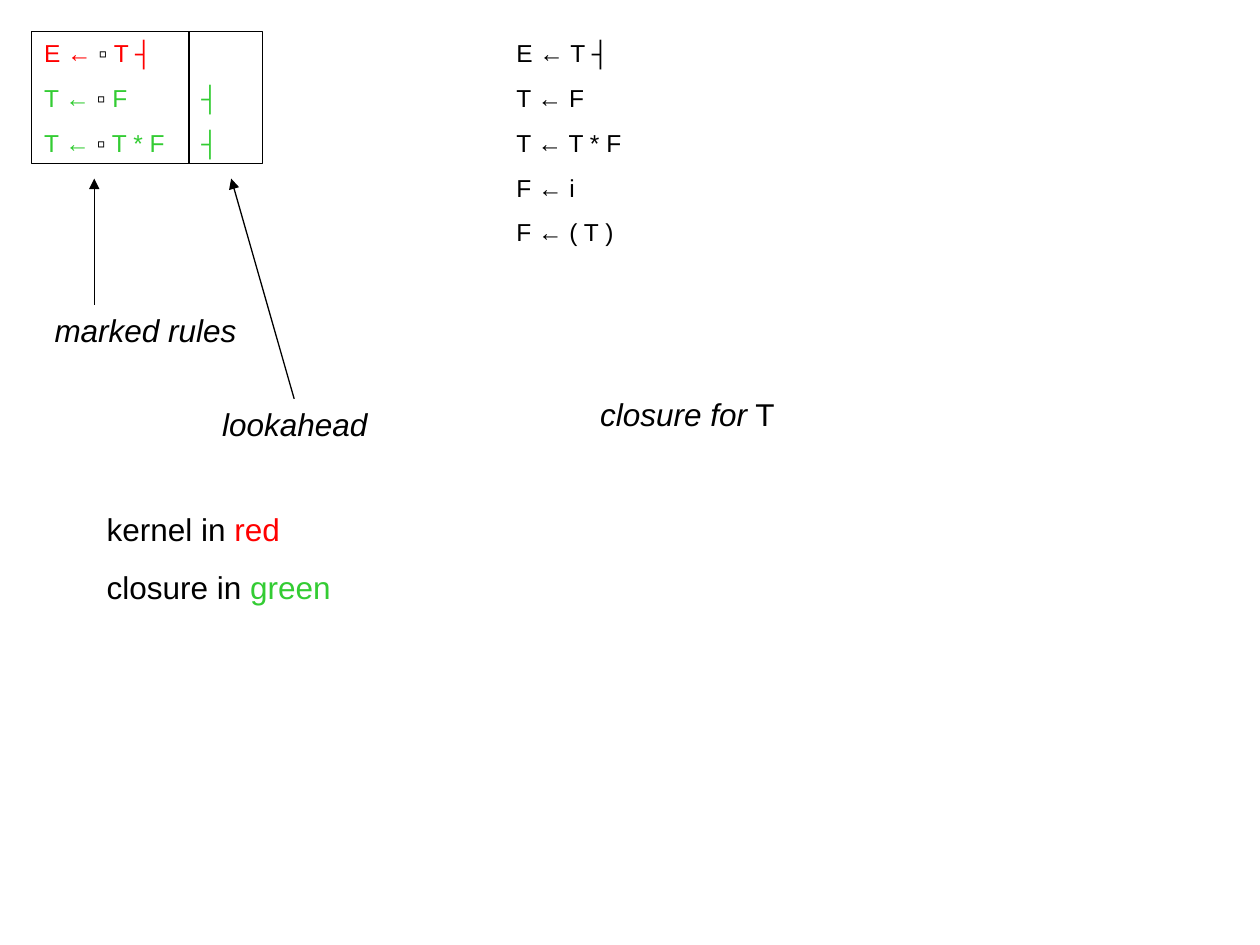
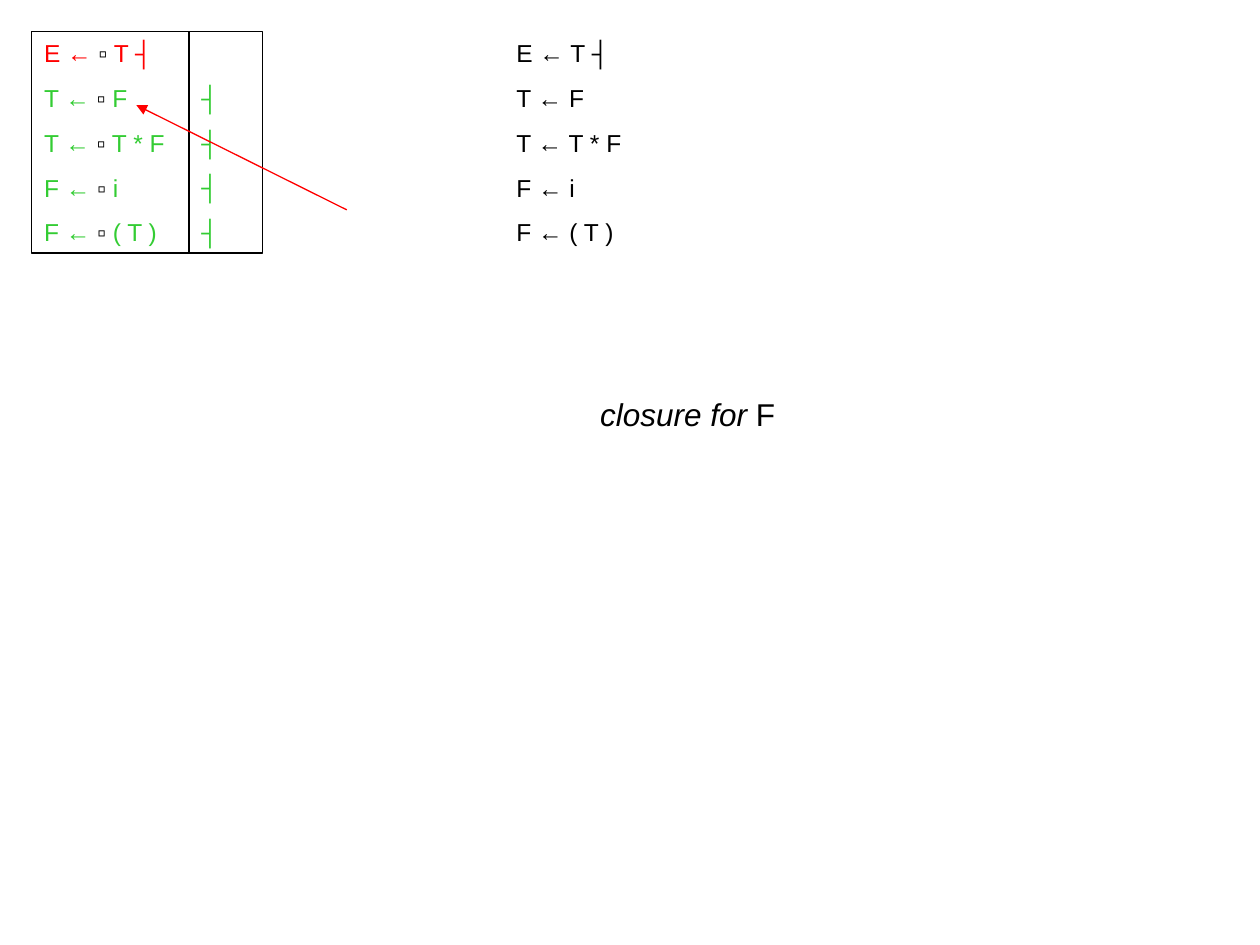
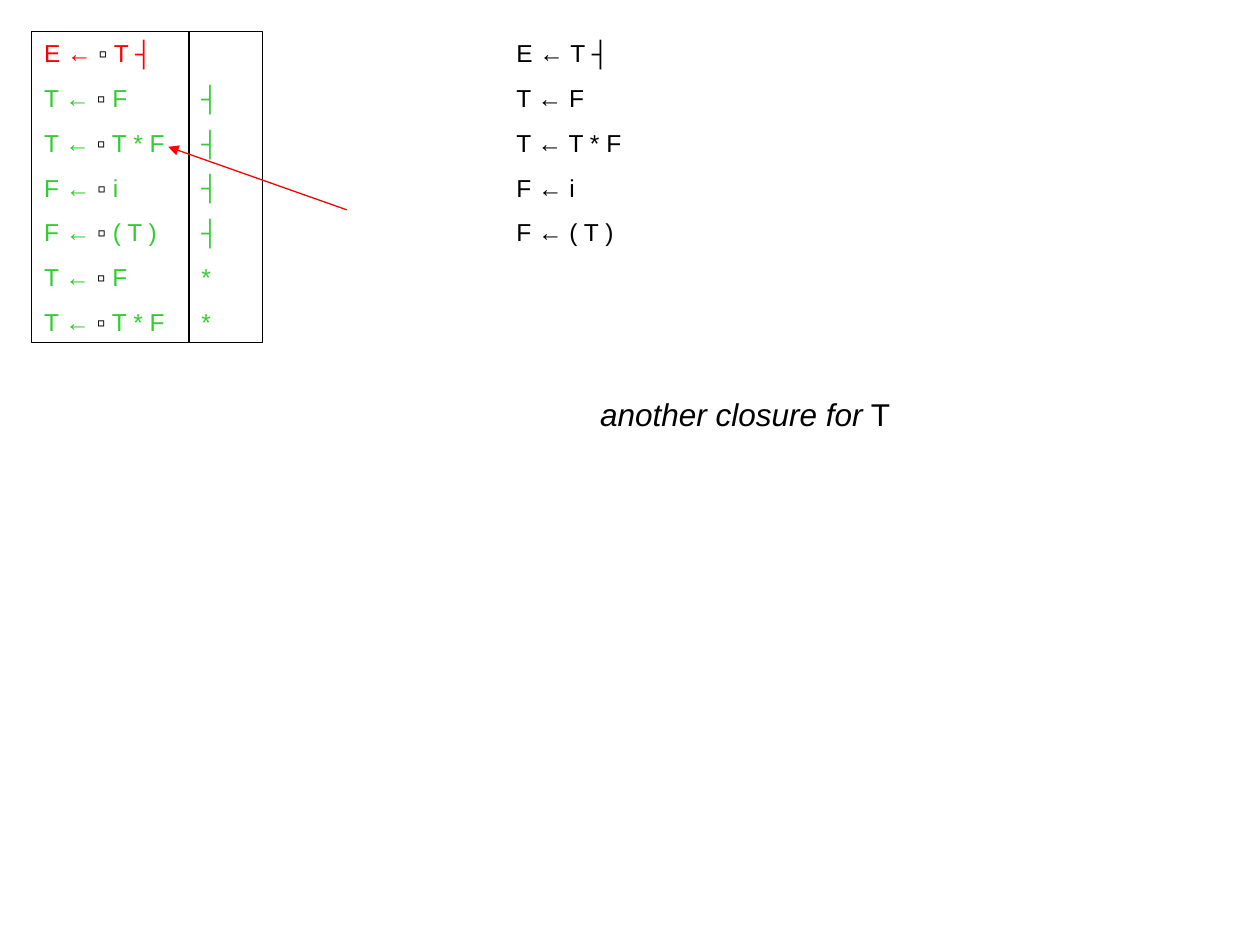
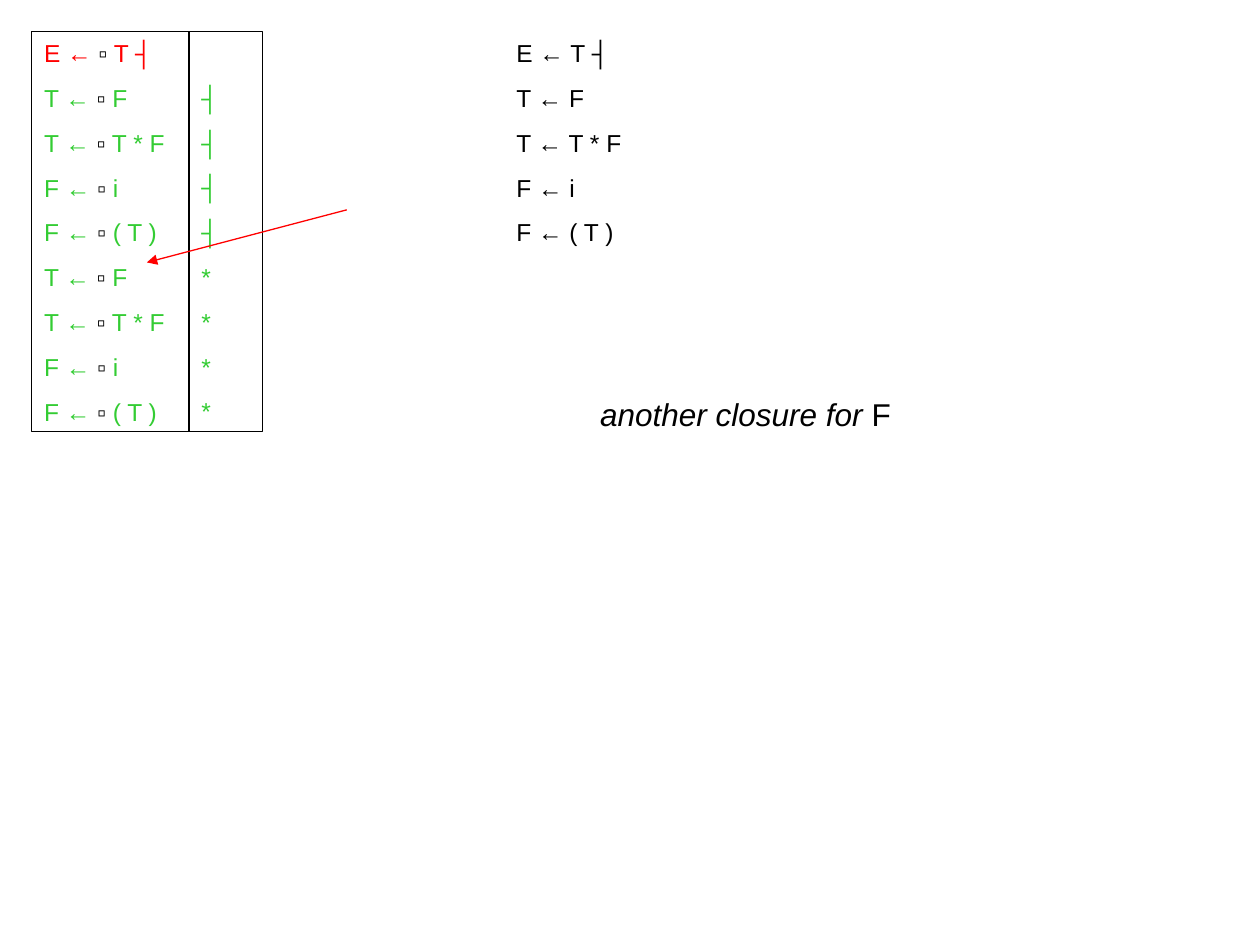
from lxml.etree import SubElement
from pptx import Presentation
from pptx.dml.color import RGBColor
from pptx.enum.shapes import MSO_CONNECTOR, MSO_SHAPE
from pptx.enum.text import MSO_ANCHOR, PP_ALIGN
from pptx.oxml.ns import qn
from pptx.util import Cm, Pt

BLACK, RED, GREEN = "000000", "FF0000", "33CC33"
FONT = "Arial"
RULE_SIZE, NOTE_SIZE = 14, 18

GRAMMAR = [("E", "T ┤"), ("T", "F"), ("T", "T * F"), ("F", "i"), ("F", "( T )")]
ITEMS = GRAMMAR + GRAMMAR[1:]
LOOKAHEADS = ["┤"] * 4 + ["*"] * 4

STEPS = [
    {"rows": 3, "caption": "closure for", "symbol": "T",
     "arrows": [(1.9, 6.14, 1.9, 3.6, BLACK), (5.93, 8.04, 4.66, 3.6, BLACK)],
     "notes": [
         (0.85, 6.14, 4.65, 1.02, [[("marked rules", BLACK, True)]]),
         (4.23, 8.04, 3.81, 1.02, [[("lookahead", BLACK, True)]]),
         (1.9, 10.16, 7.41, 2.18, [
             [("kernel in ", BLACK, False), ("red", RED, False)],
             [("closure in ", BLACK, False), ("green", GREEN, False)],
         ]),
     ]},
    {"rows": 5, "caption": "closure for", "symbol": "F",
     "arrows": [(6.99, 4.23, 2.75, 2.12, RED)], "notes": []},
    {"rows": 7, "caption": "another closure for", "symbol": "T",
     "arrows": [(6.99, 4.23, 3.39, 2.96, RED)], "notes": []},
    {"rows": 9, "caption": "another closure for", "symbol": "F",
     "arrows": [(6.99, 4.23, 2.96, 5.29, RED)], "notes": []},
]

TOP, LEFT = 0.64, 0.64
ITEM_WIDTH, LOOKAHEAD_WIDTH = 3.17, 1.48
FIRST_ROW, ROW_PITCH = 0.86, 0.9
INSET_X, INSET_Y = 0.25, 0.13


def color(value):
    return RGBColor.from_string(value)


def rows_height(count):
    return FIRST_ROW + (count - 1) * ROW_PITCH


def write(shape, lines, size, inset_top=INSET_Y):
    frame = shape.text_frame
    frame.word_wrap = True
    frame.vertical_anchor = MSO_ANCHOR.TOP
    frame.margin_left = frame.margin_right = Cm(INSET_X)
    frame.margin_top, frame.margin_bottom = Cm(inset_top), Cm(INSET_Y)
    for index, line in enumerate(lines):
        para = frame.add_paragraph() if index else frame.paragraphs[0]
        para.alignment = PP_ALIGN.LEFT
        para.space_before = Pt(round(size * 0.625, 1) if index else 0)
        for text, tint, italic in line:
            span = para.add_run()
            span.text = text
            span.font.name = FONT
            span.font.size = Pt(size)
            span.font.italic = italic
            span.font.color.rgb = color(tint)


def add_text(page, left, top, width, height, lines, size=NOTE_SIZE):
    box = page.shapes.add_textbox(Cm(left), Cm(top), Cm(width), Cm(height))
    write(box, lines, size)


def add_column(page, left, width, height, lines, inset_top=INSET_Y):
    box = page.shapes.add_shape(
        MSO_SHAPE.RECTANGLE, Cm(left), Cm(TOP), Cm(width), Cm(height))
    box.shadow.inherit = False
    box.fill.background()
    box.line.color.rgb = color(BLACK)
    box.line.width = Pt(0.75)
    write(box, lines, RULE_SIZE, inset_top)


def add_arrow(page, x1, y1, x2, y2, tint):
    arrow = page.shapes.add_connector(
        MSO_CONNECTOR.STRAIGHT, Cm(x1), Cm(y1), Cm(x2), Cm(y2))
    arrow.line.color.rgb = color(tint)
    arrow.line.width = Pt(0.75)
    SubElement(arrow.line._get_or_add_ln(), qn("a:tailEnd"), type="triangle")
    SubElement(arrow._element.spPr, qn("a:effectLst"))


def marked_rule(row):
    head, body = ITEMS[row]
    tint = GREEN if row else RED
    return [(f"{head} ← ", tint, False), ("▫", BLACK, False), (f" {body}", tint, False)]


def add_step(deck, step):
    page = deck.slides.add_slide(deck.slide_layouts[6])
    rows = step["rows"]
    height = rows_height(rows)
    grammar = [[(f"{head} ← {body}", BLACK, False)] for head, body in GRAMMAR]
    add_text(page, 10.16, TOP, 3.6, rows_height(len(GRAMMAR)), grammar, RULE_SIZE)
    add_column(page, LEFT, ITEM_WIDTH, height, [marked_rule(row) for row in range(rows)])
    lookaheads = [[(symbol, GREEN, False)] for symbol in LOOKAHEADS[:rows - 1]]
    add_column(page, LEFT + ITEM_WIDTH, LOOKAHEAD_WIDTH, height, lookaheads,
               INSET_Y + ROW_PITCH)
    caption = [(step["caption"], BLACK, True), (f" {step['symbol']}", BLACK, False)]
    add_text(page, 11.85, 7.83, 6.56, 1.02, [caption])
    for note in step["notes"]:
        add_text(page, *note)
    for arrow in step["arrows"]:
        add_arrow(page, *arrow)


def main():
    deck = Presentation()
    deck.slide_width, deck.slide_height = Cm(25.4), Cm(19.05)
    for step in STEPS:
        add_step(deck, step)
    deck.save("out.pptx")


if __name__ == "__main__":
    main()
